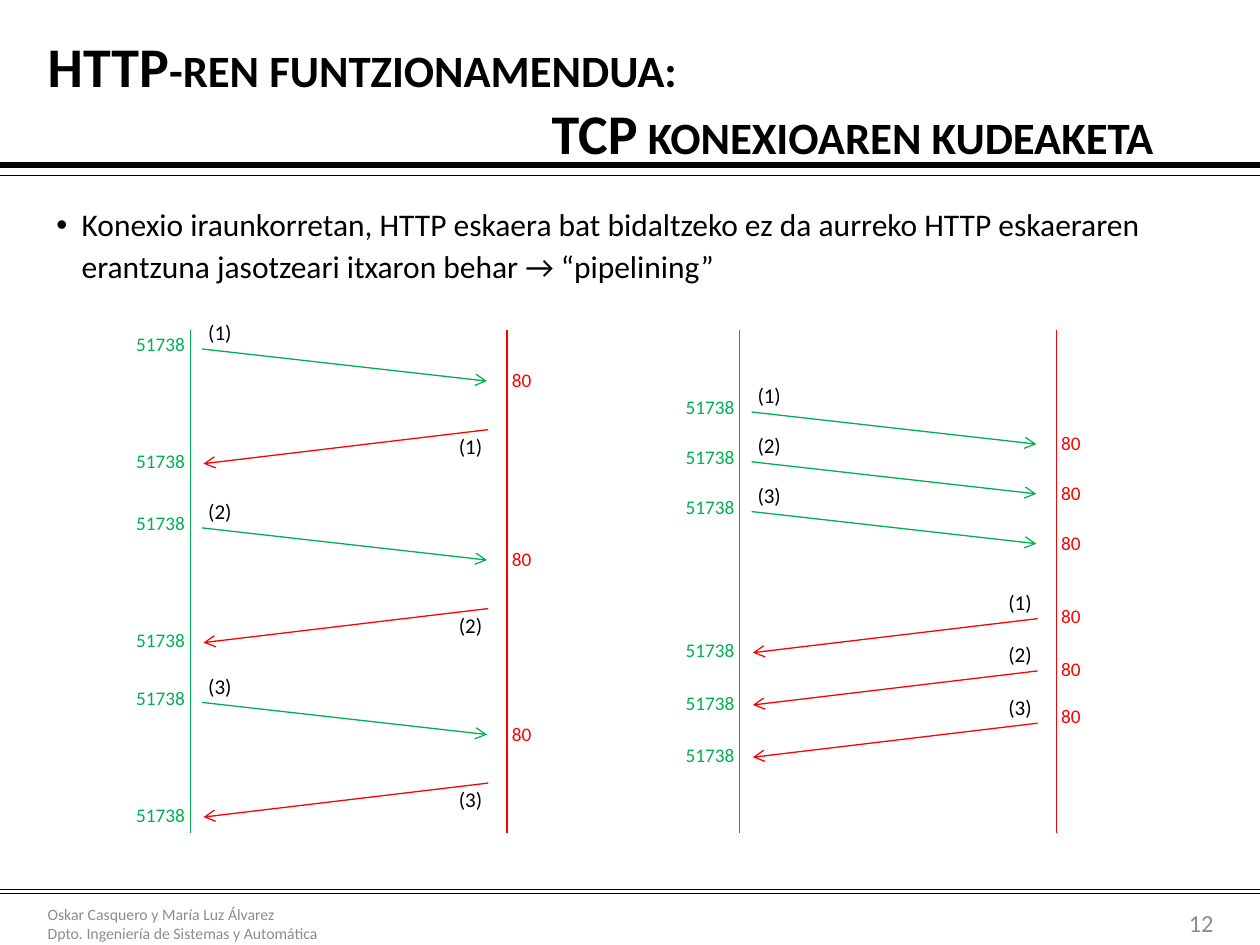
from lxml import etree
from pptx import Presentation
from pptx.dml.color import RGBColor
from pptx.enum.shapes import MSO_CONNECTOR
from pptx.enum.text import MSO_ANCHOR, PP_ALIGN
from pptx.oxml.ns import qn
from pptx.util import Inches, Pt

LEFT, CENTER, RIGHT = PP_ALIGN.LEFT, PP_ALIGN.CENTER, PP_ALIGN.RIGHT
TOP, MIDDLE = MSO_ANCHOR.TOP, MSO_ANCHOR.MIDDLE
STRAIGHT = MSO_CONNECTOR.STRAIGHT

# The slide is a grid of 100 columns by 75 rows.
COLUMNS, ROWS = 100, 75
CELL = Inches(0.1)

FONT = "Calibri"
BLACK, GREY, GREEN, RED = "000000", "8C8C8C", "00B050", "FF0000"
CLIENT_PORT, SERVER_PORT = "51738", "80"

# Columns within one sequence diagram
CLIENT_LINE, SERVER_LINE = 15.1, 40.25
CLIENT_END, SERVER_END = 16.15, 38.75
CLIENT_LABEL, SERVER_LABEL = 9.45, 39.35
REQUEST_TAG, REPLY_TAG = 14.9, 34.8
LIFELINE_TOP, LIFELINE_BOTTOM = 26.2, 66.1


def cells(count):
    """Turn a number of grid cells into a length."""
    return round(count * CELL)


def color(hex_string):
    """Turn a hex string into a colour."""
    return RGBColor.from_string(hex_string)


def add_line(slide, start, end, line_color, width=0.75, arrow=False):
    """Draw a straight line between grid points, with an optional arrowhead."""
    line = slide.shapes.add_connector(
        STRAIGHT, *[cells(value) for value in (*start, *end)])
    line.line.color.rgb = color(line_color)
    line.line.width = Pt(width)
    properties = line._element.spPr
    if arrow:
        head = etree.SubElement(properties.find(qn("a:ln")), qn("a:tailEnd"))
        head.set("type", "arrow")
    etree.SubElement(properties, qn("a:effectLst"))


def add_text(slide, box, lines, size, text_color=BLACK, align=LEFT,
             anchor=TOP, bold=False):
    """Write one paragraph per line in a grid box and return the paragraphs."""
    frame = slide.shapes.add_textbox(*[cells(value) for value in box]).text_frame
    frame.word_wrap = True
    frame.vertical_anchor = anchor
    frame.text = "\n".join(lines)
    font_format = {"name": FONT, "size": Pt(size), "bold": bold}
    for paragraph in frame.paragraphs:
        paragraph.alignment = align
        font = paragraph.runs[0].font
        for attribute, value in font_format.items():
            setattr(font, attribute, value)
        font.color.rgb = color(text_color)
    return frame.paragraphs


def set_indent(paragraph, margin, first_line=0):
    """Indent a paragraph by grid cells and return its properties."""
    properties = paragraph._p.get_or_add_pPr()
    properties.set("marL", str(cells(margin)))
    properties.set("indent", str(cells(first_line)))
    return properties


def add_title(slide):
    """Write the two-line title in small capitals."""
    title = add_text(
        slide, (2.8, 2.9, 94.5, 9.8),
        ["HTTP-ren funtzionamendua:", "TCP konexioaren kudeaketa"],
        32, anchor=MIDDLE, bold=True)
    for paragraph in title:
        paragraph.runs[0].font._element.set("cap", "small")
    set_indent(title[1], 40)


def add_bullet(slide):
    """Write the bulleted statement."""
    statement = add_text(
        slide, (3.5, 15.5, 93.7, 8),
        ["Konexio iraunkorretan, HTTP eskaera bat bidaltzeko ez da aurreko "
         "HTTP eskaeraren erantzuna jasotzeari itxaron behar → “pipelining”"],
        18)[0]
    statement.line_spacing = 1.1
    statement.space_before = Pt(3.6)
    properties = set_indent(statement, 2, -2)
    for tag, attribute, value in (("a:buFont", "typeface", "Arial"),
                                  ("a:buChar", "char", "•")):
        etree.SubElement(properties, qn(tag)).set(attribute, value)


def add_frame(slide):
    """Draw the rules, the footer and the slide number."""
    for row, width in ((13.1, 3), (13.9, 0.25), (70.6, 0.25), (70.9, 0.25)):
        add_line(slide, (0, row), (COLUMNS, row), BLACK, width)
    add_text(slide, (2.8, 71.3, 37, 4),
             ["Oskar Casquero y María Luz Álvarez",
              "Dpto. Ingeniería de Sistemas y Automática"],
             9, GREY, anchor=MIDDLE)
    add_text(slide, (89.4, 71.8, 7.9, 2.8), ["12"], 14, GREY, RIGHT, MIDDLE)


def add_port(slide, column, row, port):
    """Label one end of a message with its port."""
    width, port_color = {CLIENT_PORT: (6.6, GREEN), SERVER_PORT: (4.1, RED)}[port]
    add_text(slide, (column, row, width, 2.9), [port], 11, port_color, CENTER)


def add_tag(slide, column, row, number):
    """Write the number of a message in brackets."""
    add_text(slide, (column, row, 5.1, 3), [f"({number})"], 12, align=CENTER)


def add_request(slide, origin, row, number):
    """Draw a request with its ports and number."""
    add_line(slide, (origin + CLIENT_END - 0.1, row),
             (origin + SERVER_END - 0.1, row + 2.55), GREEN, arrow=True)
    add_port(slide, origin + CLIENT_LABEL, row - 1.8, CLIENT_PORT)
    add_port(slide, origin + SERVER_LABEL, row + 1.05, SERVER_PORT)
    add_tag(slide, origin + REQUEST_TAG, row - 2.8, number)


def add_reply(slide, origin, row, number, tag_shift):
    """Draw a reply with the client port and its number."""
    add_line(slide, (origin + SERVER_END, row),
             (origin + CLIENT_END, row + 2.7), RED, arrow=True)
    add_port(slide, origin + CLIENT_LABEL, row + 1.1, CLIENT_PORT)
    add_tag(slide, origin + REPLY_TAG, row + tag_shift, number)


def add_sequence(slide, origin, request_rows, reply_rows, tag_shift):
    """Draw the lifelines of client and server and the messages between them."""
    for column, line_color in ((CLIENT_LINE, GREEN), (SERVER_LINE, RED)):
        add_line(slide, (origin + column, LIFELINE_TOP),
                 (origin + column, LIFELINE_BOTTOM), line_color)
    for number, (request, reply) in enumerate(zip(request_rows, reply_rows), 1):
        add_request(slide, origin, request, number)
        add_reply(slide, origin, reply, number, tag_shift)


def main():
    """Build the slide and save it."""
    deck = Presentation()
    deck.slide_width, deck.slide_height = cells(COLUMNS), cells(ROWS)
    slide = deck.slides.add_slide(deck.slide_layouts[6])

    add_frame(slide)
    add_title(slide)
    add_bullet(slide)

    waiting_requests = [27.7, 41.9, 55.75]
    waiting_replies = [row + 6.4 for row in waiting_requests]
    add_sequence(slide, 0, waiting_requests, waiting_replies, -0.2)

    pipelining = 43.6
    piped_requests = [32.7 + 3.95 * step for step in range(3)]
    piped_replies = [49.1 + 4.15 * step for step in range(3)]
    add_sequence(slide, pipelining, piped_requests, piped_replies, -2.8)
    for row in (47.5, 51.7, 55.4):
        add_port(slide, pipelining + SERVER_LABEL, row, SERVER_PORT)

    deck.save("out.pptx")


main()
